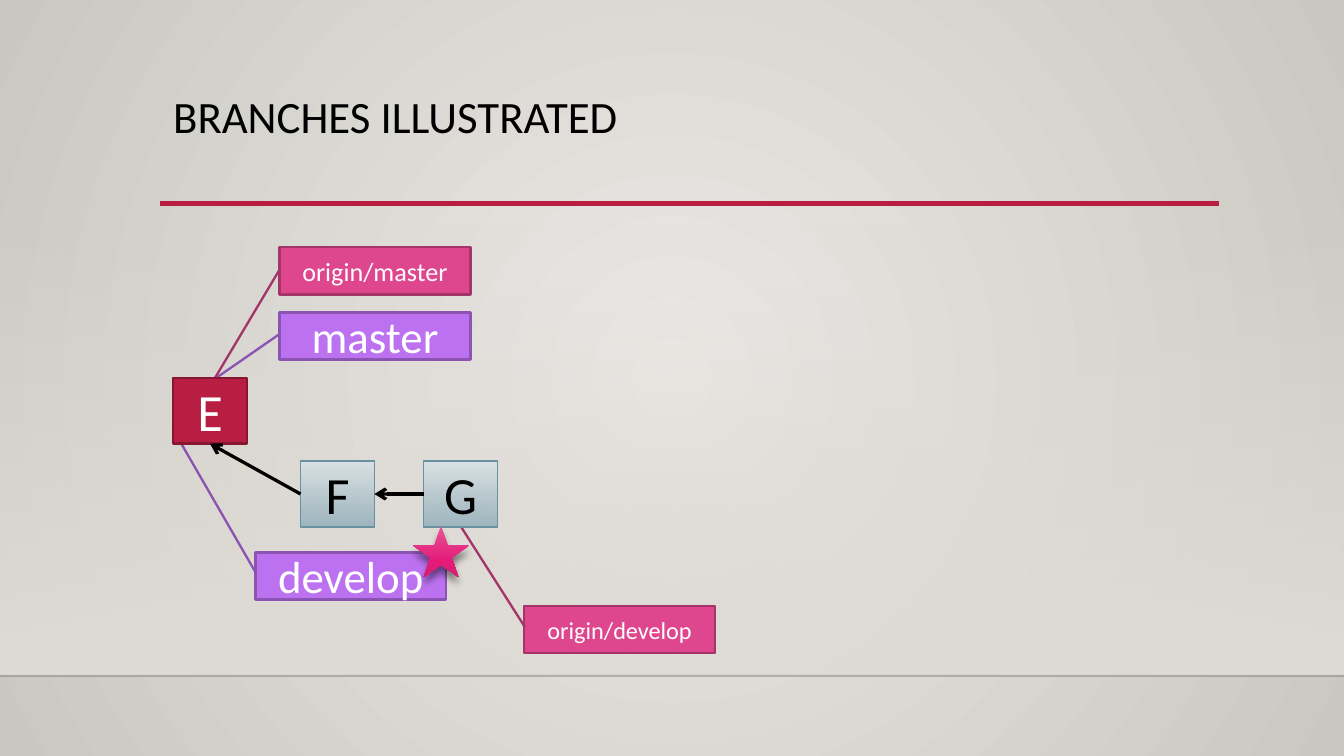
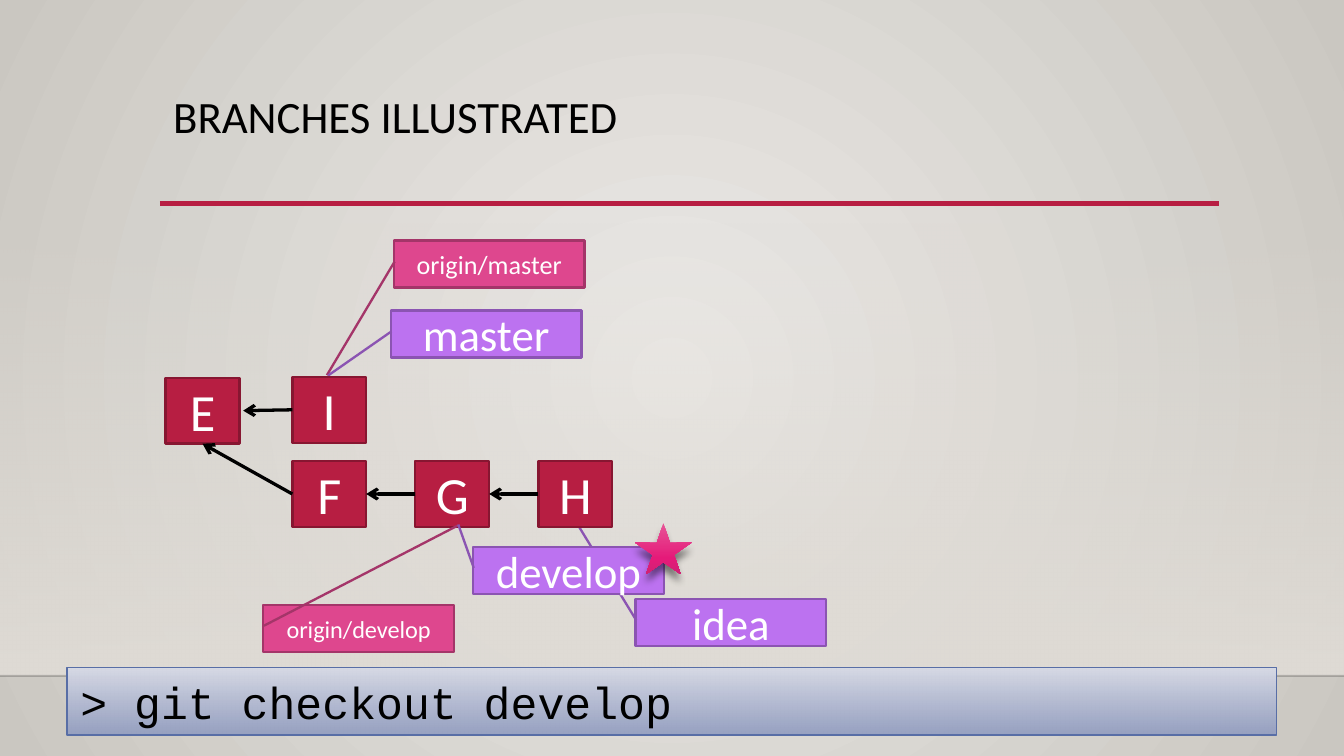
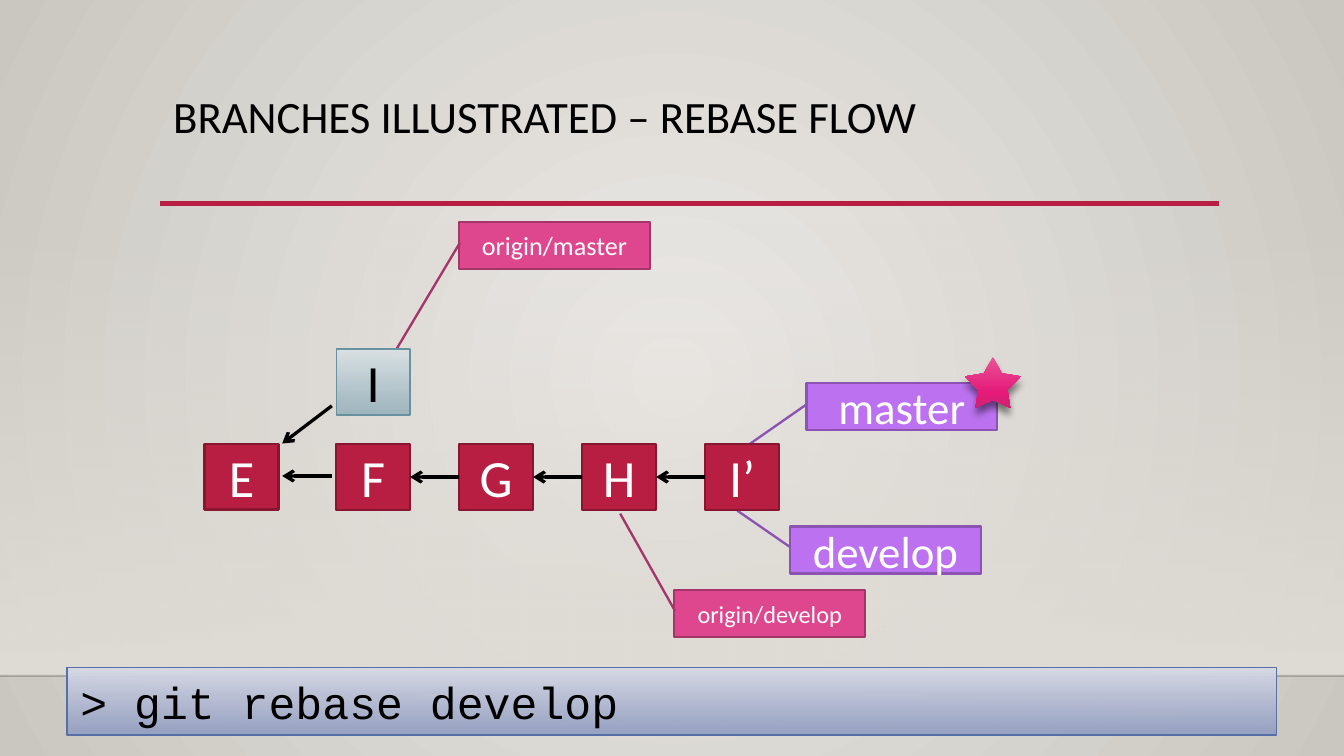
from dataclasses import dataclass
from pptx import Presentation
from pptx.dml.color import RGBColor as RGB
from pptx.enum.shapes import MSO_CONNECTOR, MSO_SHAPE as SHAPE
from pptx.enum.text import MSO_ANCHOR as ANCHOR, MSO_AUTO_SIZE as AUTO, PP_ALIGN as ALIGN
from pptx.oxml import parse_xml
from pptx.oxml.ns import nsdecls, qn
from pptx.util import Pt


@dataclass(frozen=True)
class Style:
    fill: object
    line: str = None
    width: float = 1.25
    text: str = "FFFFFF"


@dataclass(frozen=True)
class Theme:
    font: str = "Calibri"
    mono: str = "Courier New"
    black: str = "000000"
    accent: str = "B71E42"
    title_size: int = 24
    commit_size: int = 28
    branch_size: int = 24
    remote_master_size: int = 14
    remote_develop_size: int = 13
    command_size: int = 24
    backdrop: tuple = ((0, "ECEAE7", 100), (100, "CAC7C1", 100))
    band: Style = Style(((0, "DFDBD5", 0), (100, "DFDBD5", 100)))
    commit: Style = Style("B71E42", "871631")
    faded: Style = Style(((0, "D9E1E4", 100), (100, "9AB2BC", 92)), "6892A0", 0.75, "000000")
    branch: Style = Style("BC72F0", "8B54B2")
    remote: Style = Style("DE478E", "A43569")
    command: Style = Style(((0, "D6D9E5", 100), (100, "929DC0", 92)), "586EA6", 0.75, "000000")
    star: Style = Style(((0, "E75597", 100), (69, "E51A79", 100), (100, "CF2374", 100)))


T = Theme()
SLIDE_W, SLIDE_H = 720, 405
COMMIT_W, COMMIT_H, COMMIT_STEP = 39.6, 35.3, 65.9
LABEL_W, LABEL_H = 102.2, 25.2
TOP, LEFT, BOTTOM, RIGHT = range(4)


def set_all(obj, values):
    for name, value in values.items():
        setattr(obj, name, value)


def set_gradient(fill, parent, stops, direction):
    fill.solid()
    gs = "".join(
        f'<a:gs pos="{pos * 1000}"><a:srgbClr val="{color}">'
        f'<a:alpha val="{alpha * 1000}"/></a:srgbClr></a:gs>'
        for pos, color, alpha in stops)
    grad = parse_xml(f'<a:gradFill {nsdecls("a")} rotWithShape="1">'
                     f'<a:gsLst>{gs}</a:gsLst>{direction}</a:gradFill>')
    parent.replace(parent.find(qn("a:solidFill")), grad)


def set_backdrop(master):
    fill = master.background.fill
    fill.solid()
    bg = master._element.find(".//" + qn("p:bgPr"))
    set_gradient(fill, bg, T.backdrop,
                 '<a:path path="circle"><a:fillToRect l="50000" t="50000" '
                 'r="50000" b="50000"/></a:path>')


def add_box(s, shape, x, y, w, h, style):
    sp = s.shapes.add_shape(shape, Pt(x), Pt(y), Pt(w), Pt(h))
    sp.shadow.inherit = False
    if isinstance(style.fill, str):
        sp.fill.solid()
        sp.fill.fore_color.rgb = RGB.from_string(style.fill)
    else:
        set_gradient(sp.fill, sp._element.spPr, style.fill, '<a:lin ang="5400000" scaled="0"/>')
    if style.line:
        sp.line.color.rgb = RGB.from_string(style.line)
        sp.line.width = Pt(style.width)
    else:
        sp.line.fill.background()
    return sp


def add_text(sp, text, size, color, font=T.font, align=ALIGN.CENTER, anchor=ANCHOR.MIDDLE):
    tf = sp.text_frame
    set_all(tf, {"word_wrap": True, "vertical_anchor": anchor})
    p = tf.paragraphs[0]
    p.alignment = align
    r = p.add_run()
    r.text = text
    set_all(r.font, {"name": font, "size": Pt(size)})
    r.font.color.rgb = RGB.from_string(color)
    return p


def add_line(s, start, end, color, width):
    line = s.shapes.add_connector(MSO_CONNECTOR.STRAIGHT, *map(Pt, (*start, *end)))
    line.line.color.rgb = RGB.from_string(color)
    line.line.width = Pt(width)
    line._element.spPr.append(parse_xml(f'<a:effectLst {nsdecls("a")}/>'))
    return line


def add_arrow(s, start, end, start_join=None, end_join=None):
    line = add_line(s, start, end, T.black, 1.75)
    line.line._get_or_add_ln().append(parse_xml(f'<a:tailEnd {nsdecls("a")} type="arrow"/>'))
    if start_join:
        line.begin_connect(*start_join)
    if end_join:
        line.end_connect(*end_join)


def add_commit(s, name, x, y, style=T.commit):
    sp = add_box(s, SHAPE.RECTANGLE, x, y, COMMIT_W, COMMIT_H, style)
    add_text(sp, name, T.commit_size, style.text)
    return sp


def add_commit_row(s, names, x, y, style=T.commit):
    row = [add_commit(s, name, x + i * COMMIT_STEP, y, style) for i, name in enumerate(names)]
    for parent, child in zip(row, row[1:]):
        add_arrow(s, (x, y), (x, y), (child, LEFT), (parent, RIGHT))
    return row


def add_label(s, text, x, y, tip, style=T.branch, size=T.branch_size):
    sp = add_box(s, SHAPE.LINE_CALLOUT_1, x, y, LABEL_W, LABEL_H, style)
    values = (0.446, 0.004, (tip[1] - y) / LABEL_H, (tip[0] - x) / LABEL_W)
    for i, value in enumerate(values):
        sp.adjustments[i] = value
    add_text(sp, text, size, style.text)


def add_remote_master(s, x, y, tip):
    add_label(s, "origin/master", x, y, tip, T.remote, T.remote_master_size)


def add_remote_develop(s, x, y, tip):
    add_label(s, "origin/develop", x, y, tip, T.remote, T.remote_develop_size)


def add_star(s, x, y, depth=0.19):
    sp = add_box(s, SHAPE.STAR_5_POINT, x, y, 30.2, 27.4, T.star)
    sp.adjustments[0] = depth
    sp._element.spPr.find(qn("a:effectLst")).append(parse_xml(
        f'<a:outerShdw {nsdecls("a")} blurRad="{Pt(4)}" dist="{Pt(4)}" dir="5400000" '
        f'rotWithShape="0"><a:srgbClr val="{T.black}"><a:alpha val="48000"/>'
        '</a:srgbClr></a:outerShdw>'))


def add_command(s, text):
    sp = add_box(s, SHAPE.RECTANGLE, 36, 357.8, 648, 36, T.command)
    add_text(sp, text, T.command_size, T.command.text, T.mono, ALIGN.LEFT, ANCHOR.TOP)
    sp.text_frame.auto_size = AUTO.SHAPE_TO_FIT_TEXT


def add_slide(prs, title):
    s = prs.slides.add_slide(prs.slide_layouts[6])
    add_box(s, SHAPE.RECTANGLE, 0, 119.5, SLIDE_W, 242.6, T.band)
    floor = add_line(s, (0, 362.1), (SLIDE_W, 362.1), T.black, 1)
    floor._element.spPr.find(".//" + qn("a:srgbClr")).append(
        parse_xml(f'<a:alpha {nsdecls("a")} val="20000"/>'))
    add_line(s, (85.7, 108.9), (653, 108.9), T.accent, 2.5)
    box = s.shapes.add_textbox(Pt(85.7), Pt(47.5), Pt(567.3), Pt(61.9))
    p = add_text(box, title, T.title_size, T.black, align=ALIGN.LEFT, anchor=ANCHOR.TOP)
    p.line_spacing = 0.9
    return s


def build_unpushed(prs):
    s = add_slide(prs, "BRANCHES ILLUSTRATED")
    add_label(s, "master", 149.8, 167.4, (116.2, 202.2))
    add_remote_master(s, 149.8, 132.5, (113.9, 204.6))
    add_label(s, "develop", 136.8, 295.9, (97, 237.5))
    add_remote_develop(s, 280.8, 324.7, (246.9, 282.1))
    e = add_commit(s, "E", 92.7, 202.4)
    f, g = add_commit_row(s, "FG", 161, 247, T.faded)
    add_arrow(s, (161, 264), (113, 238), (f, LEFT), (e, BOTTOM))
    add_star(s, 221.2, 281.8)


def build_checkout(prs):
    s = add_slide(prs, "BRANCHES ILLUSTRATED")
    add_remote_master(s, 211, 128.9, (175.1, 201))
    add_label(s, "master", 209.3, 166.3, (175.7, 201.2))
    e = add_commit(s, "E", 88.7, 202.4)
    i = add_commit(s, "I", 156.6, 201.9)
    add_label(s, "idea", 340.4, 321, (304.9, 273.6))
    f, g, h = add_commit_row(s, "FGH", 156.6, 247)
    add_remote_develop(s, 141, 324, (245.5, 281.4))
    add_arrow(s, (156.6, 264), (108, 238), (f, LEFT), (e, BOTTOM))
    add_arrow(s, (156.6, 220), (130.3, 220), (i, LEFT))
    add_command(s, "> git checkout develop")
    add_label(s, "develop", 253.4, 293, (245.5, 281))
    add_star(s, 340.3, 280.3)


def build_rebase(prs):
    s = add_slide(prs, "BRANCHES ILLUSTRATED – REBASE FLOW")
    add_remote_master(s, 246, 118.8, (210.1, 190.9))
    add_remote_develop(s, 361.2, 316, (332.2, 275.1))
    add_label(s, "master", 432, 205.2, (398.4, 240.1))
    add_label(s, "develop", 423.2, 282.1, (394.9, 273.5))
    add_commit(s, "E", 109.6, 237.7)
    add_commit_row(s, ["F", "G", "H", "I’"], 180.1, 237.9)
    add_commit(s, "I", 180.1, 187, T.faded)
    add_arrow(s, (177.8, 255), (151.2, 255))
    add_arrow(s, (177.8, 217.4), (151.2, 237.6))
    add_command(s, "> git rebase develop")
    add_star(s, 516.8, 191.2, 0.26)


def main():
    prs = Presentation()
    set_all(prs, {"slide_width": Pt(SLIDE_W), "slide_height": Pt(SLIDE_H)})
    set_backdrop(prs.slide_master)
    build_unpushed(prs)
    build_checkout(prs)
    build_rebase(prs)
    prs.save("out.pptx")


if __name__ == "__main__":
    main()
